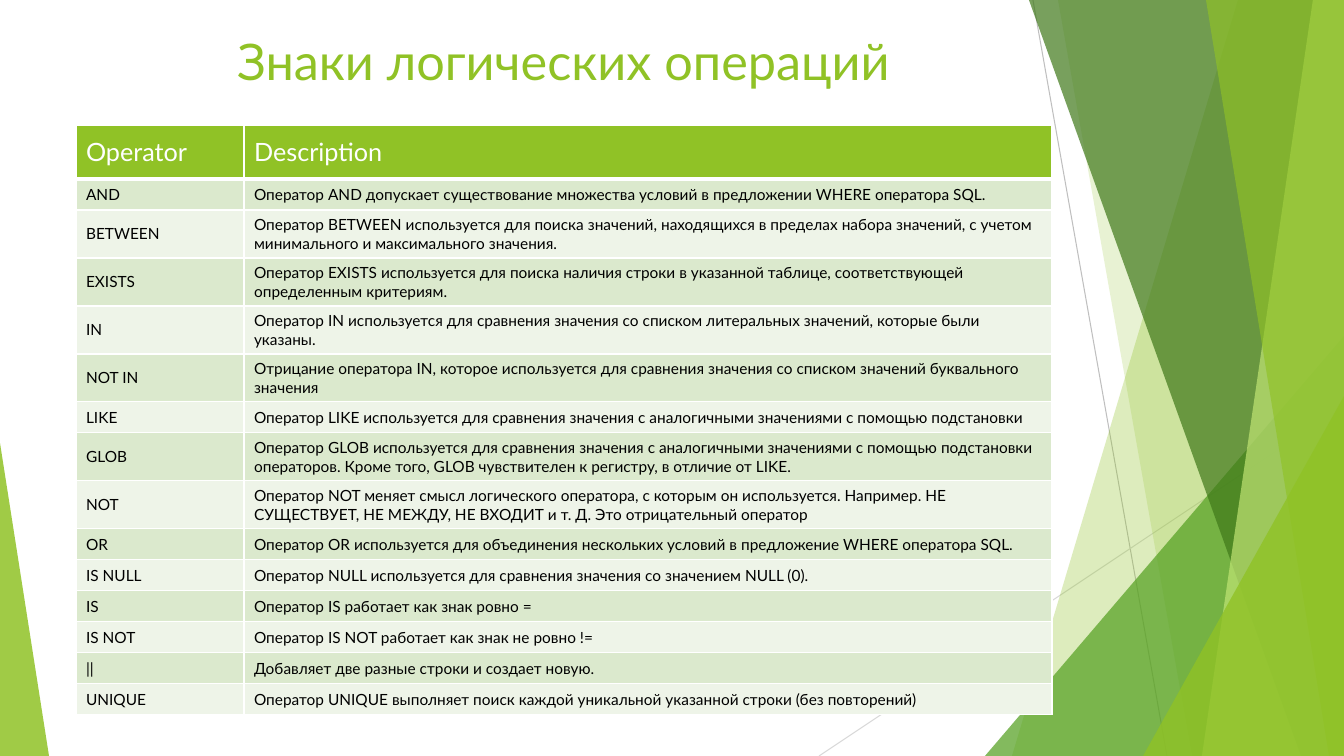
from dataclasses import dataclass
from pptx import Presentation
from pptx import util as u
from pptx.dml import color
from pptx.enum import shapes, text
from pptx.oxml import ns, xmlchemy

SCALE = 12192000 / 1344
WIDTH, HEIGHT = 1344, 756


@dataclass(frozen=True)
class Theme:
    font: str = "Lato"
    lime: str = "90C226"
    green: str = "54A021"
    forest: str = "3F7819"
    pale: str = "C0E474"
    white: str = "FFFFFF"
    ink: str = "000000"
    bands: tuple = ("DBE9CD", "EEF4E8")
    rays: tuple = ("BFBFBF", "D9D9D9")
    title_size: int = 36
    header_size: int = 18
    body_size: int = 11


THEME = Theme()

OPERATORS = [
    ("AND", "Оператор AND допускает существование множества условий в предложении WHERE оператора SQL."),
    ("BETWEEN", "Оператор BETWEEN используется для поиска значений, находящихся в пределах набора значений, "
                "с учетом минимального и максимального значения."),
    ("EXISTS", "Оператор EXISTS используется для поиска наличия строки в указанной таблице, "
               "соответствующей определенным критериям."),
    ("IN", "Оператор IN используется для сравнения значения со списком литеральных значений, "
           "которые были указаны."),
    ("NOT IN", "Отрицание оператора IN, которое используется для сравнения значения "
               "со списком значений буквального значения"),
    ("LIKE", "Оператор LIKE используется для сравнения значения с аналогичными значениями "
             "с помощью подстановки"),
    ("GLOB", "Оператор GLOB используется для сравнения значения с аналогичными значениями "
             "с помощью подстановки операторов. Кроме того, GLOB чувствителен к регистру, в отличие от LIKE."),
    ("NOT", "Оператор NOT меняет смысл логического оператора, с которым он используется. Например. "
            "НЕ СУЩЕСТВУЕТ, НЕ МЕЖДУ, НЕ ВХОДИТ и т. Д. Это отрицательный оператор"),
    ("OR", "Оператор OR используется для объединения нескольких условий в предложение WHERE оператора SQL."),
    ("IS NULL", "Оператор NULL используется для сравнения значения со значением NULL (0)."),
    ("IS", "Оператор IS работает как знак ровно ="),
    ("IS NOT", "Оператор IS NOT работает как знак не ровно !="),
    ("||", "Добавляет две разные строки и создает новую."),
    ("UNIQUE", "Оператор UNIQUE выполняет поиск каждой уникальной указанной строки (без повторений)"),
]
TWO_LINE = {"BETWEEN", "EXISTS", "IN", "NOT IN", "GLOB", "NOT"}


def px(*lengths):
    return [u.Emu(round(length * SCALE)) for length in lengths]


def rgb(value):
    return color.RGBColor.from_string(value)


def add_xml(parent, tag, **attributes):
    child = parent.makeelement(ns.qn(tag), attributes)
    parent.append(child)
    return child


def write(frame, content, *, size, fill, anchor):
    frame.word_wrap = True
    frame.vertical_anchor = anchor
    paragraph = frame.paragraphs[0]
    paragraph.alignment = text.PP_ALIGN.LEFT
    run = paragraph.add_run()
    run.text = content
    run.font.name = THEME.font
    run.font.size = u.Pt(size)
    run.font.bold = False
    run.font.color.rgb = rgb(fill)


def paint(shape, fill, opacity):
    shape.shadow.inherit = False
    shape.line.fill.background()
    shape.fill.solid()
    shape.fill.fore_color.rgb = rgb(fill)
    tint = shape.fill._xPr.find(ns.qn("a:solidFill"))[0]
    add_xml(tint, "a:alpha", val=str(opacity * 1000))


def add_ray(slide, start, end, stroke):
    line = slide.shapes.add_connector(shapes.MSO_CONNECTOR.STRAIGHT, *px(*start, *end))
    line.line.color.rgb = rgb(stroke)
    line.line.width = u.Pt(0.75)
    add_xml(line._element.spPr, "a:effectLst")


def add_shard(slide, top_left, bottom_left, right, height, fill, opacity):
    builder = slide.shapes.build_freeform(top_left, 0, scale=SCALE)
    builder.add_line_segments([(right, 0), (right, height), (bottom_left, height)], close=True)
    paint(builder.convert_to_shape(), fill, opacity)


def add_corner(slide, box, apex, fill, opacity):
    triangle = slide.shapes.add_shape(shapes.MSO_SHAPE.ISOSCELES_TRIANGLE, *px(*box))
    triangle.adjustments[0] = apex
    paint(triangle, fill, opacity)


def add_facets(slide, box):
    left, top, width, height = box
    right, bottom = left + width, top + height
    add_ray(slide, (left + 1033, top), (left + 1167, bottom), THEME.rays[0])
    add_ray(slide, (right, top + 406), (left + 819, bottom), THEME.rays[1])

    def shard(top_left, bottom_left, fill, opacity):
        add_shard(slide, left + top_left, left + bottom_left, right, height, fill, opacity)

    def corner(span, rise, fill, opacity):
        add_corner(slide, (right - span, bottom - rise, span, rise), 1, fill, opacity)

    shard(1238, 1012, THEME.lime, 30)
    shard(1058, 1192, THEME.lime, 20)
    corner(359, 420, THEME.green, 72)
    shard(1029, 1301, THEME.forest, 70)
    shard(1313, 1202, THEME.pale, 70)
    shard(1206, 1329, THEME.lime, 65)
    corner(201, 360, THEME.lime, 80)
    add_corner(slide, (left, bottom - 313, 49, 313), 0, THEME.lime, 85)


def add_title(slide, box, content):
    title = slide.shapes.title
    title.left, title.top, title.width, title.height = px(*box)
    title.text_frame.auto_size = text.MSO_AUTO_SIZE.NONE
    write(title.text_frame, content, size=THEME.title_size, fill=THEME.lime, anchor=text.MSO_ANCHOR.TOP)
    slide.shapes._spTree.append(title._element)


def add_borders(cell, bottom):
    properties = cell._tc.get_or_add_tcPr()
    for side, width in (("L", 1), ("R", 1), ("T", 1), ("B", bottom)):
        line = add_xml(properties, "a:ln" + side, w=str(u.Pt(width)))
        add_xml(add_xml(line, "a:solidFill"), "a:srgbClr", val=THEME.white)


def add_operator_table(slide, box):
    rows = [("Operator", "Description")] + OPERATORS
    table = slide.shapes.add_table(len(rows), 2, *px(*box)).table
    table.horz_banding = False
    name_width = 168
    for column, width in zip(table.columns, px(name_width, box[2] - name_width)):
        column.width = width
    for index, row in enumerate(rows):
        header = index == 0
        height = 54 if header else 48 if row[0] in TWO_LINE else 31
        table.rows[index].height = px(height)[0]
        for column, content in enumerate(row):
            cell = table.cell(index, column)
            add_borders(cell, 3 if header else 1)
            cell.fill.solid()
            cell.fill.fore_color.rgb = rgb(THEME.lime if header else THEME.bands[(index - 1) % 2])
            cell.vertical_anchor = text.MSO_ANCHOR.MIDDLE
            write(cell.text_frame, content,
                  size=THEME.header_size if header else THEME.body_size,
                  fill=THEME.white if header else THEME.ink,
                  anchor=None)


def build_operators_slide(presentation):
    slide = presentation.slides.add_slide(presentation.slide_layouts[5])
    add_facets(slide, (0, 0, WIDTH, HEIGHT))
    add_title(slide, (227, 25, 907, 106), "Знаки логических операций")
    add_operator_table(slide, (76, 125, 976, 590))


presentation = Presentation()
presentation.slide_width, presentation.slide_height = px(WIDTH, HEIGHT)
build_operators_slide(presentation)
presentation.save("out.pptx")
